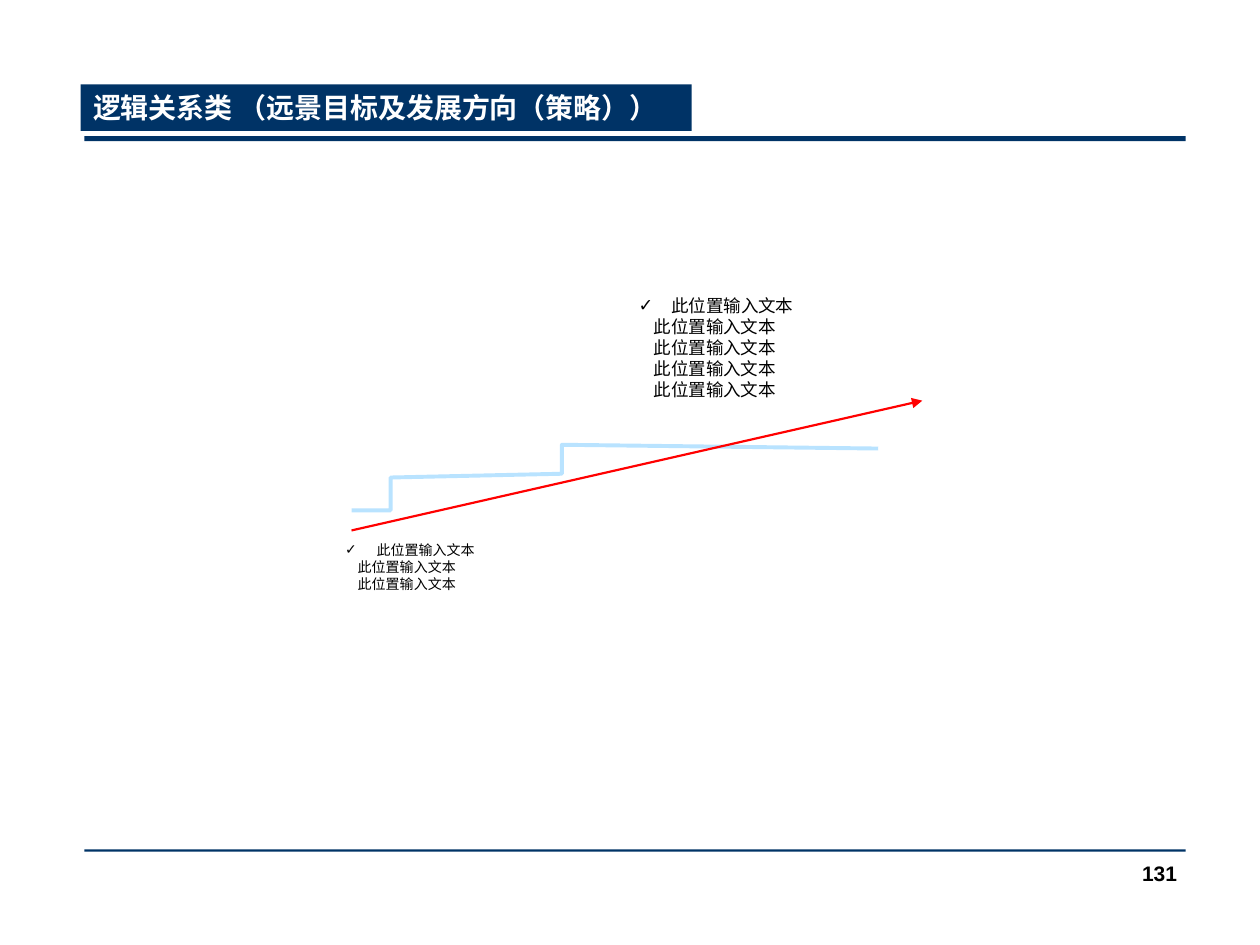
import pptx
import pptx.dml.color
import pptx.enum.shapes
import pptx.enum.text
import pptx.oxml
import pptx.oxml.ns
import pptx.util
from pptx.util import Inches

COLORS = {"navy": "003366", "sky": "B9E3FF", "red": "FF0000", "black": "000000", "white": "FFFFFF"}
FONT = "Arial"
PLACEHOLDER = "此位置输入文本"


def color(name):
    return pptx.dml.color.RGBColor.from_string(COLORS[name])


def add_element(parent, tag, **attributes):
    element = pptx.oxml.parse_xml(f"<a:{tag} {pptx.oxml.ns.nsdecls('a')}/>")
    for name, value in attributes.items():
        element.set(name, str(value))
    parent.append(element)


def add_bar(slide, left, top, width, height):
    shape = slide.shapes.add_shape(
        pptx.enum.shapes.MSO_SHAPE.RECTANGLE, Inches(left), Inches(top), Inches(width), Inches(height))
    shape.shadow.inherit = False
    shape.fill.solid()
    shape.fill.fore_color.rgb = color("navy")
    shape.line.fill.background()
    return shape


def add_text_box(slide, left, top, width, height):
    text_box = slide.shapes.add_textbox(Inches(left), Inches(top), Inches(width), Inches(height))
    text_box.text_frame.word_wrap = True
    return text_box


def write_run(paragraph, text, size, color_name, bold=False):
    run = paragraph.add_run()
    run.text = text
    run.font.name = FONT
    run.font.size = pptx.util.Pt(size)
    run.font.bold = bold
    run.font.color.rgb = color(color_name)


def add_label(shape, text, size, color_name, alignment):
    frame = shape.text_frame
    frame.word_wrap = True
    frame.vertical_anchor = pptx.enum.text.MSO_ANCHOR.TOP
    paragraph = frame.paragraphs[0]
    paragraph.alignment = alignment
    write_run(paragraph, text, size, color_name, bold=True)


def add_checked_list(slide, box, lines, size, first_indent, other_indent):
    frame = add_text_box(slide, *box).text_frame
    for index in range(lines):
        paragraph = frame.paragraphs[0] if index == 0 else frame.add_paragraph()
        properties = paragraph._p.get_or_add_pPr()
        if index == 0:
            properties.set("marL", str(Inches(first_indent)))
            properties.set("indent", str(-Inches(first_indent)))
            add_element(properties, "buFont", typeface=FONT)
            add_element(properties, "buChar", char="✓")
        else:
            properties.set("marL", str(Inches(other_indent)))
            properties.set("indent", "0")
            add_element(properties, "buNone")
        write_run(paragraph, PLACEHOLDER, size, "black")


def add_steps(slide, points):
    corners = [(Inches(x), Inches(y)) for x, y in points]
    builder = slide.shapes.build_freeform(*corners[0])
    builder.add_line_segments(corners[1:], close=False)
    steps = builder.convert_to_shape()
    steps.shadow.inherit = False
    steps.fill.background()
    steps.line.color.rgb = color("sky")
    steps.line.width = pptx.util.Pt(2.25)


def add_arrow(slide, start, end):
    arrow = slide.shapes.add_connector(
        pptx.enum.shapes.MSO_CONNECTOR.STRAIGHT, *map(Inches, start + end))
    arrow.line.color.rgb = color("red")
    arrow.line.width = pptx.util.Pt(1.25)
    add_element(arrow.line._get_or_add_ln(), "tailEnd", type="triangle")
    add_element(arrow._element.spPr, "effectLst")


def main():
    presentation = pptx.Presentation()
    presentation.slide_width = Inches(10)
    presentation.slide_height = Inches(7.5)
    slide = presentation.slides.add_slide(presentation.slide_layouts[6])
    align = pptx.enum.text.PP_ALIGN

    add_bar(slide, 0.67, 1.08, 8.74, 0.04)
    add_bar(slide, 0.67, 6.74, 8.74, 0.02)
    add_steps(slide, [(2.79, 4.05), (3.1, 4.05), (3.1, 3.79), (4.46, 3.76), (4.46, 3.53), (6.97, 3.56)])
    add_arrow(slide, (2.79, 4.21), (7.32, 3.18))
    add_checked_list(slide, (4.97, 2.29, 2.13, 0.94), 5, 10, 0.26, 0.12)
    add_checked_list(slide, (2.64, 4.25, 1.33, 0.5), 3, 8, 0.25, 0.1)
    title = add_bar(slide, 0.64, 0.67, 4.85, 0.37)
    add_label(title, "逻辑关系类 （远景目标及发展方向（策略））", 16, "white", align.LEFT)
    page_number = add_text_box(slide, 7.36, 6.78, 2.08, 0.5)
    add_label(page_number, "131", 12, "black", align.RIGHT)

    presentation.save("out.pptx")


if __name__ == "__main__":
    main()
